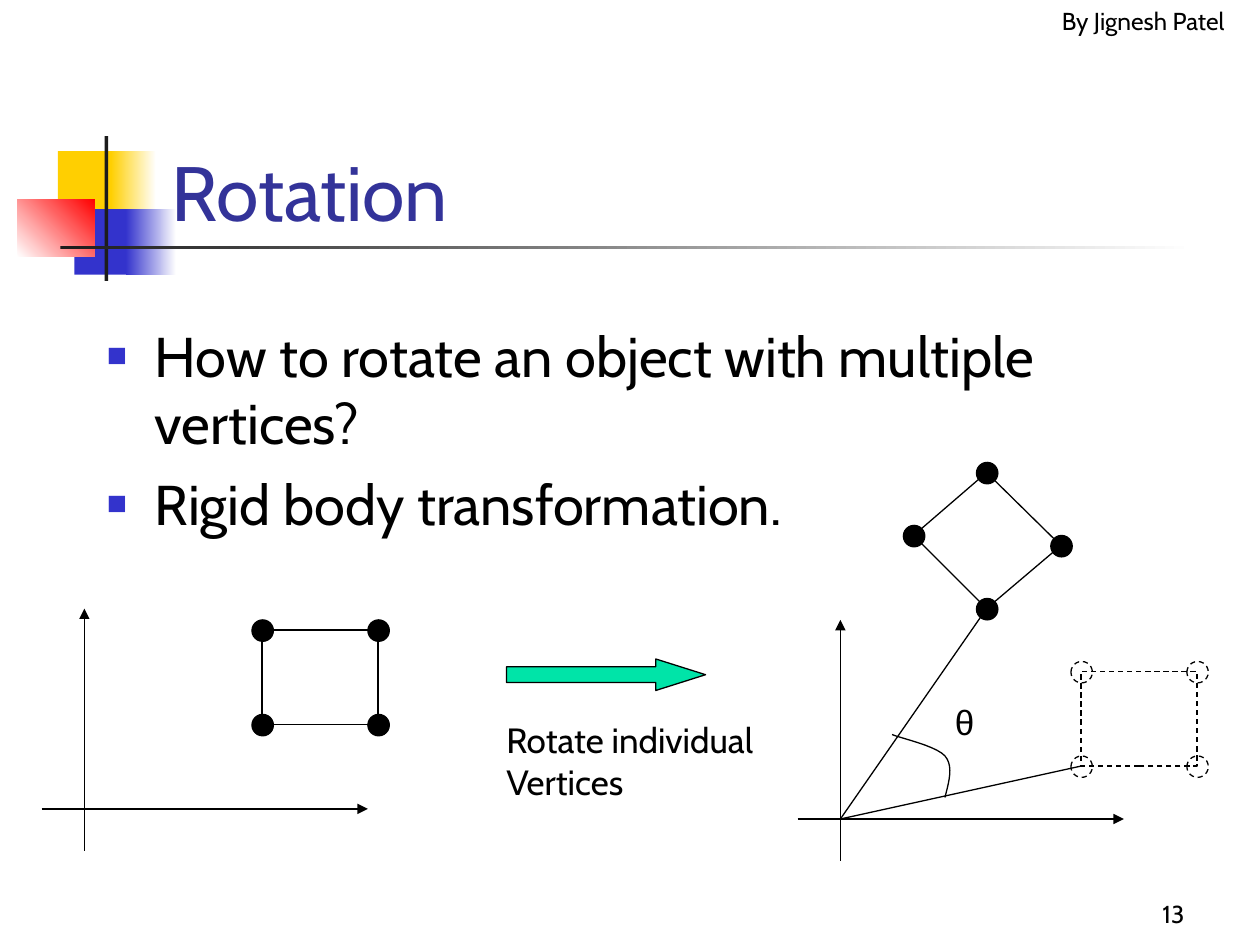
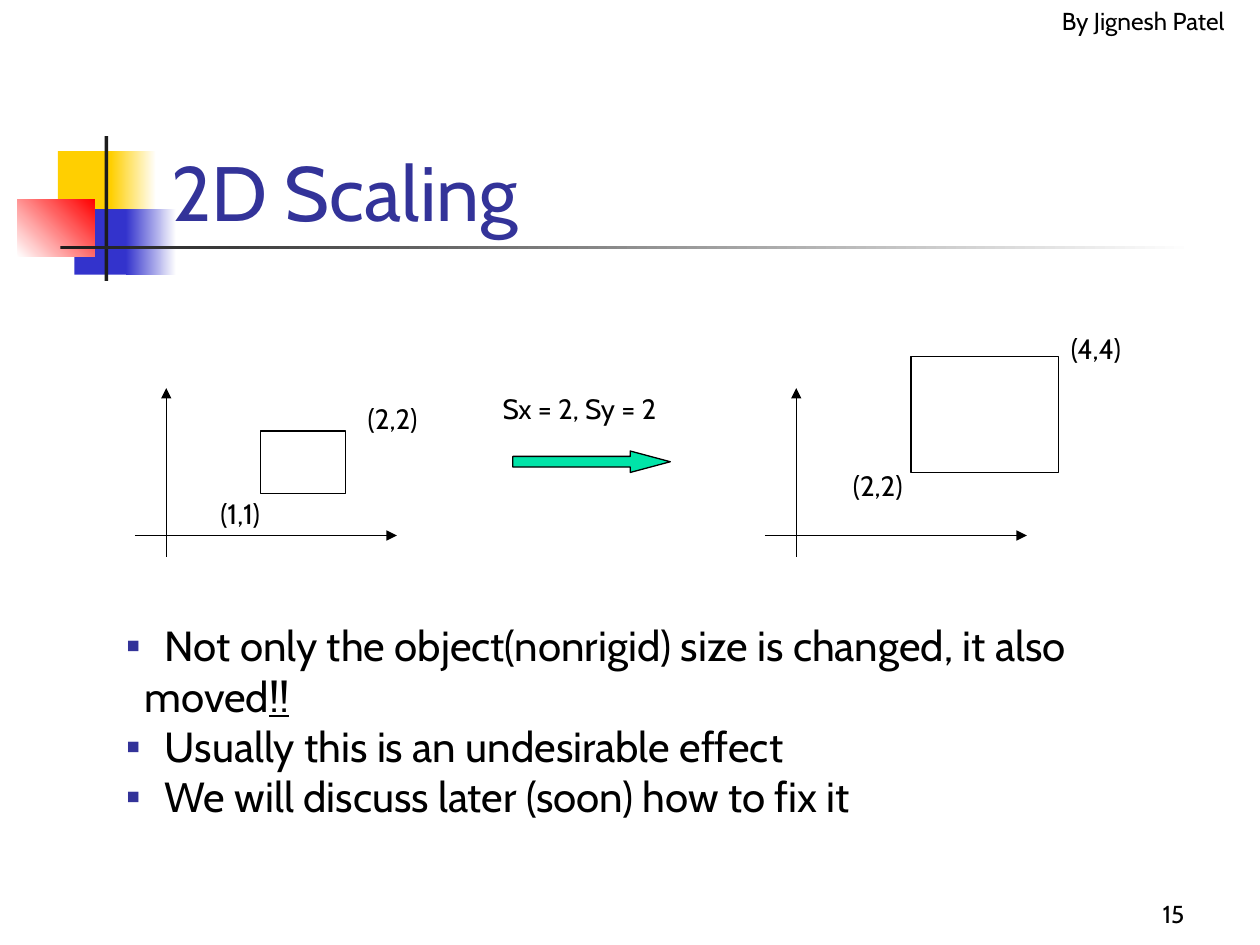
"""Build two lecture slides on rotating and scaling 2D shapes."""
from lxml.etree import SubElement
from pptx import Presentation
from pptx.dml.color import RGBColor
from pptx.enum.dml import MSO_LINE
from pptx.enum.shapes import MSO_CONNECTOR, MSO_SHAPE
from pptx.enum.text import MSO_ANCHOR, MSO_AUTO_SIZE, PP_ALIGN
from pptx.oxml.ns import qn
from pptx.util import Inches, Pt

BLACK = RGBColor(0, 0, 0)
WHITE = RGBColor(255, 255, 255)
GOLD = RGBColor(0xFF, 0xCF, 0x01)
BLUE = RGBColor(0x33, 0x33, 0xCC)
NAVY = RGBColor(0x33, 0x33, 0x99)
RED = RGBColor(255, 0, 0)
DARK = RGBColor(0x1C, 0x1C, 0x1C)
GREEN = RGBColor(0x00, 0xE4, 0xA8)

BAND = [
    (0.46, 1.2, 0.48, 0.52, (GOLD,), 0),
    (0.88, 1.2, 0.36, 0.52, (GOLD, WHITE), 0),
    (0.59, 1.66, 0.46, 0.52, (BLUE,), 0),
    (1, 1.66, 0.4, 0.52, (BLUE, WHITE), 0),
    (0.14, 1.58, 0.61, 0.46, (WHITE, RED), 45),
    (0.83, 1.08, 0.03, 1.15, (DARK,), 0),
    (0.48, 1.95, 9, 0.03, (DARK, WHITE), 0),
]


class Deck:
    def __init__(self):
        self.file = Presentation()
        self.file.slide_width, self.file.slide_height = Inches(10), Inches(7.5)
        self.base = {"name": "Cabin", "size": Pt(20)}
        self.shapes = None

    def start(self, title, number):
        slide = self.file.slides.add_slide(self.file.slide_layouts[5])
        self.shapes = slide.shapes
        for x, y, w, h, tones, angle in BAND:
            self.block(x, y, w, h, tones, angle)
        self.text(8.33, 0, 1.67, 0.5, ["By Jignesh Patel"], size=Pt(14))
        head = slide.shapes.title
        slide.shapes.element.append(head.element)
        for key, value in zip(("left", "top", "width", "height"),
                              (1.26, 0.68, 8.52, 1.25)):
            setattr(head, key, Inches(value))
        self.fill_in(head.text_frame, [title], MSO_ANCHOR.BOTTOM, tone=NAVY, size=Pt(44))
        page = self.text(7.42, 6.92, 2.08, 0.5, [number], MSO_ANCHOR.BOTTOM, size=Pt(14))
        page.paragraphs[0].alignment = PP_ALIGN.RIGHT

    def font(self, run, tone=BLACK, **extra):
        for key, value in {**self.base, **extra}.items():
            setattr(run.font, key, value)
        run.font.color.rgb = tone

    def fill_in(self, frame, lines, anchor=MSO_ANCHOR.TOP, **extra):
        looks = {"word_wrap": True, "auto_size": MSO_AUTO_SIZE.NONE,
                 "vertical_anchor": anchor}
        for key, value in looks.items():
            setattr(frame, key, value)
        for index, line in enumerate(lines):
            para = frame.add_paragraph() if index else frame.paragraphs[0]
            para.alignment = PP_ALIGN.LEFT
            run = para.add_run()
            run.text = line
            self.font(run, **extra)

    def text(self, x, y, w, h, lines, anchor=MSO_ANCHOR.TOP, **extra):
        frame = self.shapes.add_textbox(*map(Inches, (x, y, w, h))).text_frame
        self.fill_in(frame, lines, anchor, **extra)
        return frame

    def label(self, x, y, w, h, *lines, **extra):
        frame = self.text(x, y, w, h, lines, **extra)
        frame.word_wrap = False
        frame.auto_size = MSO_AUTO_SIZE.SHAPE_TO_FIT_TEXT

    def indent(self, para, left, mark=None, tone=BLUE, scale=100):
        props = para._p.get_or_add_pPr()
        props.set("marL", str(Inches(left)))
        props.set("indent", str(-Inches(left) if mark else 0))
        if mark:
            color = SubElement(props, qn("a:buClr"))
            SubElement(color, qn("a:srgbClr"), val=str(tone))
            SubElement(props, qn("a:buSzPct"), val=str(scale * 1000))
            SubElement(props, qn("a:buFont"), typeface="Arial")
            SubElement(props, qn("a:buChar"), char=mark)

    def block(self, x, y, w, h, tones, angle=0):
        shape = self.shapes.add_shape(MSO_SHAPE.RECTANGLE, *map(Inches, (x, y, w, h)))
        shape.shadow.inherit = False
        shape.line.fill.background()
        if len(tones) == 1:
            shape.fill.solid()
            shape.fill.fore_color.rgb = tones[0]
            return
        shape.fill.gradient()
        shape.fill.gradient_angle = angle
        for stop, tone in zip(shape.fill.gradient_stops, tones):
            stop.color.rgb = tone

    def edge(self, shape, fill=None, dash=False):
        shape.shadow.inherit = False
        if fill is None:
            shape.fill.background()
        else:
            shape.fill.solid()
            shape.fill.fore_color.rgb = fill
        shape.line.color.rgb = BLACK
        shape.line.width = Pt(0.75)
        if dash:
            shape.line.dash_style = MSO_LINE.DASH

    def form(self, kind, x, y, w, h, fill=None, dash=False):
        shape = self.shapes.add_shape(kind, *map(Inches, (x, y, w, h)))
        self.edge(shape, fill, dash)
        return shape

    def dots(self, points, fill=BLACK, dash=False):
        for x, y in points:
            self.form(MSO_SHAPE.OVAL, x - 0.08, y - 0.08, 0.17, 0.17, fill, dash)

    def square(self, x, y, fill=BLACK, dash=False):
        w, h = 0.92, 0.75
        self.form(MSO_SHAPE.RECTANGLE, x, y, w, h, None, dash)
        self.dots([(a, b) for b in (y + h, y) for a in (x, x + w)], fill, dash)

    def arrow(self, x, y, w, h, tip):
        shape = self.form(MSO_SHAPE.RIGHT_ARROW, x, y, w, h, GREEN)
        shape.adjustments[1] = tip

    def line(self, start, end, arrow=False):
        link = self.shapes.add_connector(MSO_CONNECTOR.STRAIGHT,
                                         *map(Inches, (*start, *end)))
        link.line.color.rgb = BLACK
        link.line.width = Pt(0.75)
        props = link.element.spPr
        if arrow:
            SubElement(props.find(qn("a:ln")), qn("a:tailEnd"), type="triangle")
        SubElement(props, qn("a:effectLst"))

    def axes(self, x, y, left, right, down, up):
        self.line((x - left, y), (x + right, y), True)
        self.line((x, y + down), (x, y - up), True)

    def curve(self, *parts, steps=10):
        points = []
        for part in parts:
            for step in range(steps + 1):
                t = step / steps
                rates = ((1 - t) ** 3, 3 * t * (1 - t) ** 2, 3 * t * t * (1 - t), t ** 3)
                points.append(tuple(Inches(sum(r * p[axis] for r, p in zip(rates, part)))
                                    for axis in (0, 1)))
        pen = self.shapes.build_freeform(*points[0])
        pen.add_line_segments(points[1:], close=False)
        self.edge(pen.convert_to_shape())


def rotate(deck):
    deck.start("Rotation", "13")
    body = deck.text(0.75, 2.5, 8.5, 4.5, [
        "How to rotate an object with multiple vertices?",
        "Rigid body transformation."], size=Pt(32))
    for para in body.paragraphs:
        deck.indent(para, 0.38, "■", BLUE, 60)
    body.paragraphs[1].space_before = Pt(8)

    deck.axes(0.67, 6.42, 0.34, 2.25, 0.33, 1.59)
    deck.square(2.08, 5)
    deck.arrow(4.02, 5.23, 1.58, 0.25, 1.58)
    deck.label(3.92, 5.65, 2.4, 0.77, "Rotate individual", "Vertices")

    origin = (6.67, 6.5)
    deck.axes(*origin, 0.34, 2.25, 0.33, 1.58)
    deck.square(8.58, 5.33, None, True)
    turned = [(7.25, 4.25), (7.83, 4.83), (8.42, 4.33), (7.83, 3.75)]
    for start, end in zip(turned, turned[1:] + turned[:1]):
        deck.line(start, end)
    deck.dots(turned)
    for end in ((8.58, 6.08), turned[1]):
        deck.line(origin, end)
    deck.curve([(7.5, 6.33), (7.53, 6.21), (7.57, 6.08), (7.5, 6)],
               [(7.5, 6), (7.43, 5.92), (7.15, 5.86), (7.08, 5.83)])
    deck.label(7.48, 5.51, 0.34, 0.44, "θ", name="Arial")


def scale(deck):
    deck.start("2D Scaling", "15")
    for x in (1.32, 6.32):
        deck.axes(x, 4.25, 0.25, 1.83, 0.17, 1.17)
    for box in ((2.07, 3.42, 0.67, 0.5), (7.23, 2.83, 1.17, 0.92)):
        deck.form(MSO_SHAPE.RECTANGLE, *box)
    deck.arrow(4.07, 3.58, 1.25, 0.17, 1.87)
    for x, y, w, note in ((1.65, 3.89, 0.64, "(1,1)"), (2.82, 3.14, 0.64, "(2,2)"),
                          (3.89, 3.06, 1.64, "Sx = 2, Sy = 2"),
                          (6.67, 3.67, 0.64, "(2,2)"), (8.4, 2.58, 0.68, "(4,4)")):
        deck.label(x, y, w, 0.37, note, size=Pt(16))

    body = deck.text(0.9, 4.87, 8.16, 2.1, [
        "Not only the object(nonrigid) size is changed, it also",
        "moved",
        "Usually this is an undesirable effect",
        "We will discuss later (soon) how to fix it"], size=Pt(24))
    first, moved, *rest = body.paragraphs
    for para in (first, *rest):
        deck.indent(para, 0.31, "▪", NAVY)
    deck.indent(moved, 0.15)
    run = moved.add_run()
    run.text = "!!"
    deck.font(run, size=Pt(24), underline=True)


def main():
    deck = Deck()
    rotate(deck)
    scale(deck)
    deck.file.save("out.pptx")


if __name__ == "__main__":
    main()
